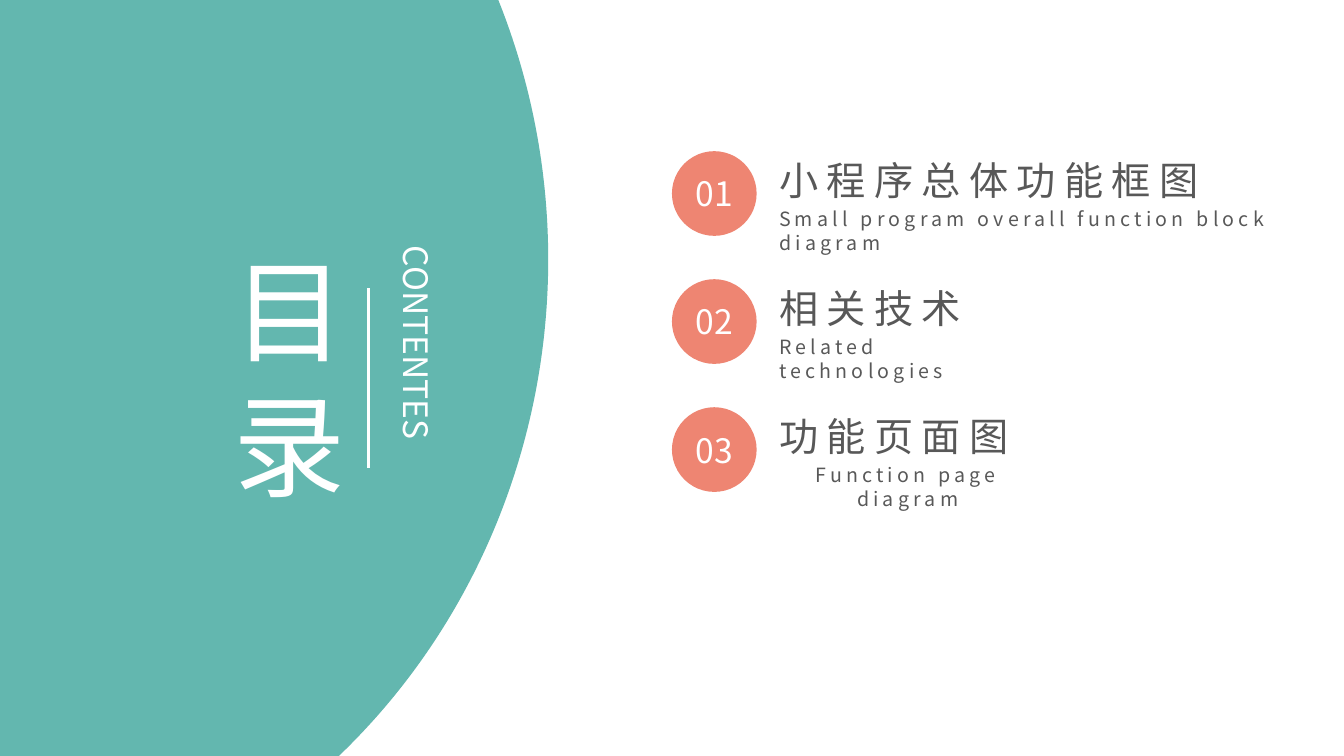
from pptx import Presentation
from pptx.dml.color import RGBColor
from pptx.enum import shapes, text
from pptx.oxml.ns import qn
from pptx.util import Pt

FONT = "Noto Sans CJK SC"
COLORS = {"teal": "63B7AF", "coral": "EE8572", "gray": "585858", "white": "FFFFFF"}
CENTER = text.PP_ALIGN.CENTER
LEFT = text.PP_ALIGN.LEFT

# Title, subtitle, then the subtitle's left, width and alignment
ITEMS = [
    ("小程序总体功能框图", "Small program overall function block diagram", 549.4, 421.2, LEFT),
    ("相关技术", "Related technologies", 549.4, 200.2, LEFT),
    ("功能页面图", "Function page diagram", 540, 216.7, CENTER),
]
TOP, PITCH = 108, 91.44


def rgb(name):
    return RGBColor.from_string(COLORS[name])


def write(frame, words, size, color, align=LEFT, gap=0):
    """Fill a text frame; gap is the letter spacing in points."""
    frame.text = words
    para = frame.paragraphs[0]
    para.alignment = align
    font = para.runs[0].font
    font.size = Pt(size)
    font.name = FONT
    font.color.rgb = rgb(color)
    props = para.runs[0]._r.get_or_add_rPr()
    if gap:
        props.set("spc", str(gap * 100))
    latin = props.find(qn("a:latin"))
    east = props.makeelement(qn("a:ea"), {"typeface": FONT})
    latin.addnext(east)


def add_label(slide, box, words, size, color, align=LEFT, gap=0):
    frame = slide.shapes.add_textbox(*map(Pt, box)).text_frame
    frame.word_wrap = True
    frame.auto_size = text.MSO_AUTO_SIZE.SHAPE_TO_FIT_TEXT
    write(frame, words, size, color, align, gap)
    return frame


def add_disc(slide, box, color):
    disc = slide.shapes.add_shape(shapes.MSO_SHAPE.OVAL, *map(Pt, box))
    disc.shadow.inherit = False
    disc.fill.solid()
    disc.fill.fore_color.rgb = rgb(color)
    disc.line.fill.background()
    return disc


def add_rule(slide, x, top, end):
    rule = slide.shapes.add_connector(
        shapes.MSO_CONNECTOR.STRAIGHT, Pt(x), Pt(top), Pt(x), Pt(end))
    rule.line.color.rgb = rgb("white")
    rule.line.width = Pt(2.25)
    props = rule._element.spPr
    props.append(props.makeelement(qn("a:effectLst"), {}))


def add_item(slide, index, title, subtitle, left, width, align):
    top = TOP + index * PITCH
    frame = add_disc(slide, (480, top, 60.5, 60.5), "coral").text_frame
    frame.word_wrap = False
    frame.vertical_anchor = text.MSO_ANCHOR.MIDDLE
    write(frame, f"{index + 1:02}", 24, "white", CENTER)
    add_label(slide, (549.4, top, 355, 41), title, 28, "gray", gap=6)
    add_label(slide, (left, top + 36.3, width, 24.5), subtitle, 14, "gray", align, 3)


def main():
    deck = Presentation()
    deck.slide_width, deck.slide_height = Pt(960), Pt(540)
    slide = deck.slides.add_slide(deck.slide_layouts[6])
    add_disc(slide, (-538.6, -297.4, 930.2, 965.5), "teal")
    add_label(slide, (159.8, 169.2, 128.9, 200.9), "目录", 80, "white")
    side = add_label(slide, (272.2, 168.5, 43.9, 203), "CONTENTES", 24, "white", CENTER)
    side._txBody.bodyPr.set("vert", "eaVert")
    for index, item in enumerate(ITEMS):
        add_item(slide, index, *item)
    add_rule(slide, 263.5, 206, 334)
    deck.save("out.pptx")


if __name__ == "__main__":
    main()
